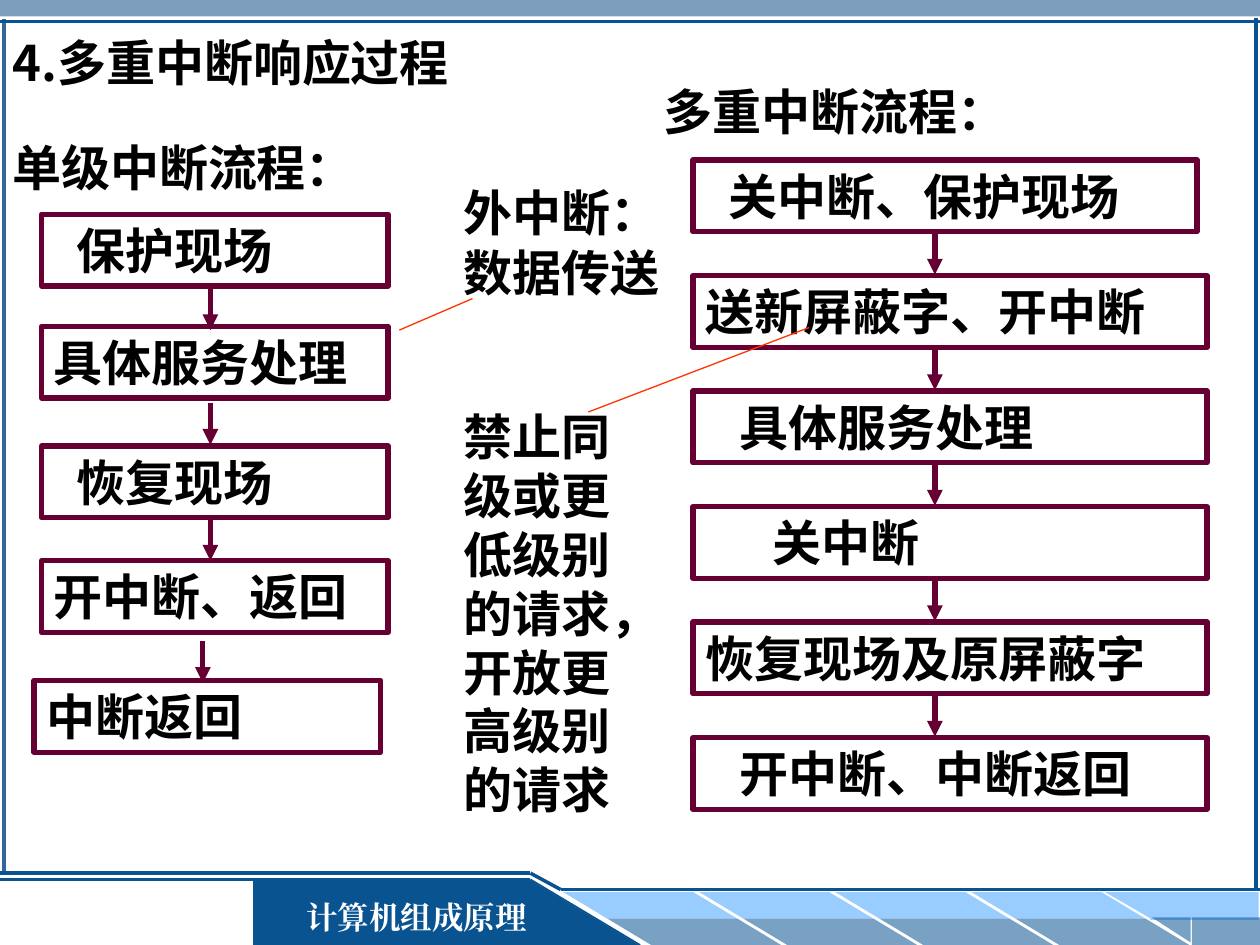
from lxml import etree
from pptx import Presentation
from pptx.dml.color import RGBColor
from pptx.enum.shapes import MSO_CONNECTOR, MSO_SHAPE
from pptx.enum.text import MSO_ANCHOR, MSO_AUTO_SIZE, PP_ALIGN
from pptx.oxml.ns import qn
from pptx.util import Inches, Pt

RECT = MSO_SHAPE.RECTANGLE
SLANT = MSO_SHAPE.PARALLELOGRAM
WEDGE = MSO_SHAPE.RIGHT_TRIANGLE
STRAIGHT = MSO_CONNECTOR.STRAIGHT
TOP, NO_FIT = MSO_ANCHOR.TOP, MSO_AUTO_SIZE.NONE
LEFT, CENTER = PP_ALIGN.LEFT, PP_ALIGN.CENTER

NAVY, SKY, STEEL = "095391", "99CCFF", "336699"
WINE, RED, BLACK, WHITE = "660033", "FF3300", "000000", "FFFFFF"
SANS, SERIF = "Noto Sans CJK SC", "Times New Roman"
color = RGBColor.from_string

prs = Presentation()
prs.slide_width, prs.slide_height = Inches(10), Inches(7.5)
slide = prs.slides.add_slide(prs.slide_layouts[5])
shapes = slide.shapes


def add_block(kind, x, y, w, h, fill=None, alpha=None, edge=None):
    block = shapes.add_shape(kind, Inches(x), Inches(y), Inches(w), Inches(h))
    block.shadow.inherit = False
    if fill:
        block.fill.solid()
        block.fill.fore_color.rgb = color(fill)
    else:
        block.fill.background()
    if alpha:
        tint = block._element.spPr.find(qn("a:solidFill"))[0]
        etree.SubElement(tint, qn("a:alpha"), val=str(alpha * 1000))
    if edge:
        block.line.color.rgb = color(edge)
        block.line.width = Pt(3)
    else:
        block.line.fill.background()
    return block


def add_line(x1, y1, x2, y2, tone, width, arrow=False):
    line = shapes.add_connector(STRAIGHT, Inches(x1), Inches(y1), Inches(x2), Inches(y2))
    line.line.color.rgb = color(tone)
    line.line.width = Pt(width)
    props = line._element.spPr
    if arrow:
        etree.SubElement(props.find(qn("a:ln")), qn("a:tailEnd"), type="triangle")
    etree.SubElement(props, qn("a:effectLst"))


# Top band and frame
add_block(RECT, 0, 0, 10, 0.13, STEEL, 63)
add_line(0.03, 0.15, 0.03, 6.93, STEEL, 2)
add_line(0, 0.17, 10, 0.17, NAVY, 2)
add_line(9.97, 0.14, 9.97, 7.07, NAVY, 2)

# Footer stripes
add_block(RECT, 2.01, 6.98, 2.2, 0.52, NAVY)
for i in range(4):
    for x, y, fill, alpha in [(4.47, 7.08, SKY, None), (4.82, 7.29, NAVY, 54)]:
        stripe = add_block(SLANT, x + 1.08 * i, y, 1.38, 0.21, fill, alpha)
        stripe.adjustments[0] = 1.66
        stripe._element.spPr.xfrm.set("flipH", "1")
add_block(RECT, 9.13, 7.08, 0.86, 0.22, SKY)
add_block(RECT, 9.46, 7.28, 0.54, 0.22, NAVY, 54)
add_block(WEDGE, 8.77, 7.08, 0.38, 0.22, SKY).rotation = 180
add_block(WEDGE, 9.14, 7.28, 0.31, 0.2, NAVY, 54).rotation = 180
add_block(WEDGE, 4.2, 6.98, 0.87, 0.52, NAVY)

# Footer outline
add_line(5.08, 7.5, 4.21, 6.98, NAVY, 1)
add_line(4.21, 6.98, 0, 6.98, NAVY, 1.5)
add_line(0, 6.93, 4.21, 6.93, NAVY, 2)
add_line(4.21, 6.93, 4.45, 7.06, NAVY, 2)
add_line(4.45, 7.06, 10, 7.06, NAVY, 2)

# Each label: shape, text, indent
labels = []

# Title
title = shapes.title
title.left, title.top = Inches(0), Inches(0.21)
title.width, title.height = Inches(4.83), Inches(0.57)
labels.append((title, "4.多重中断响应过程", 0))

# Headings and side notes
for x, y, w, h, text in [
    (0, 1.04, 4.83, 0.57, "单级中断流程："),
    (5.17, 0.6, 4.83, 0.57, "多重中断流程："),
    (3.58, 1.6, 2.25, 0.81, "外中断：\n数据传送"),
    (3.58, 3.18, 1.67, 3.37, "禁止同级或更低级别的请求，开放更高级别的请求"),
]:
    note = shapes.add_textbox(Inches(x), Inches(y), Inches(w), Inches(h))
    labels.append((note, text, 0))

# Single-level flow
for x, y, text, indent in [
    (0.33, 1.7, "保护现场", 0.18),
    (0.33, 2.59, "具体服务处理", 0),
    (0.33, 3.54, "恢复现场", 0.18),
    (0.33, 4.45, "开中断、返回", 0),
    (0.27, 5.4, "中断返回", 0),
]:
    labels.append((add_block(RECT, x, y, 2.75, 0.57, edge=WINE), text, indent))
for x, y in [(1.67, 2.29), (1.67, 3.2), (1.67, 4.12), (1.61, 5.09)]:
    add_line(x, y, x, y + 0.33, WINE, 3, True)

# Multi-level flow
steps = [
    ("关中断、保护现场", 4, 0.18),
    ("送新屏蔽字、开中断", 4.08, 0),
    ("具体服务处理", 4.08, 0.27),
    ("关中断", 4.08, 0.53),
    ("恢复现场及原屏蔽字", 4.08, 0),
    ("开中断、中断返回", 4.08, 0.27),
]
for i, (text, w, indent) in enumerate(steps):
    y = 1.27 + 5.5 / 6 * i
    labels.append((add_block(RECT, 5.5, y, w, 0.57, edge=WINE), text, indent))
    if i < len(steps) - 1:
        add_line(7.42, y + 0.58, 7.42, y + 0.91, WINE, 3, True)

# Pointers from notes to steps
add_line(3.17, 2.62, 3.75, 2.37, RED, 0.75)
add_line(4.67, 3.27, 6.42, 2.6, RED, 0.75)

# Course name
course = add_block(RECT, 2.28, 7.08, 2.05, 0.4, NAVY)
labels.append((course, "计算机组成原理", 0))

# Text format
for shape, text, indent in labels:
    frame = shape.text_frame
    frame.text = text
    frame.word_wrap = True
    frame.auto_size = NO_FIT
    frame.vertical_anchor = TOP
    frame.margin_left = Inches(0.1 + indent)
    footer = shape is course
    face = SERIF if footer else SANS
    for i, para in enumerate(frame.paragraphs):
        para.alignment = CENTER if footer else LEFT
        if len(frame.paragraphs) > 1:
            para.line_spacing = 0.5
        if i:
            para.space_before = Pt(17.5)
        font = para.font
        font.size = Pt(18 if footer else 28)
        font.bold = True
        font.color.rgb = color(WHITE if footer else BLACK)
        font.name = face
        base = para._p.pPr.find(qn("a:defRPr"))
        etree.SubElement(base, qn("a:ea"), typeface=face)

prs.save("out.pptx")
